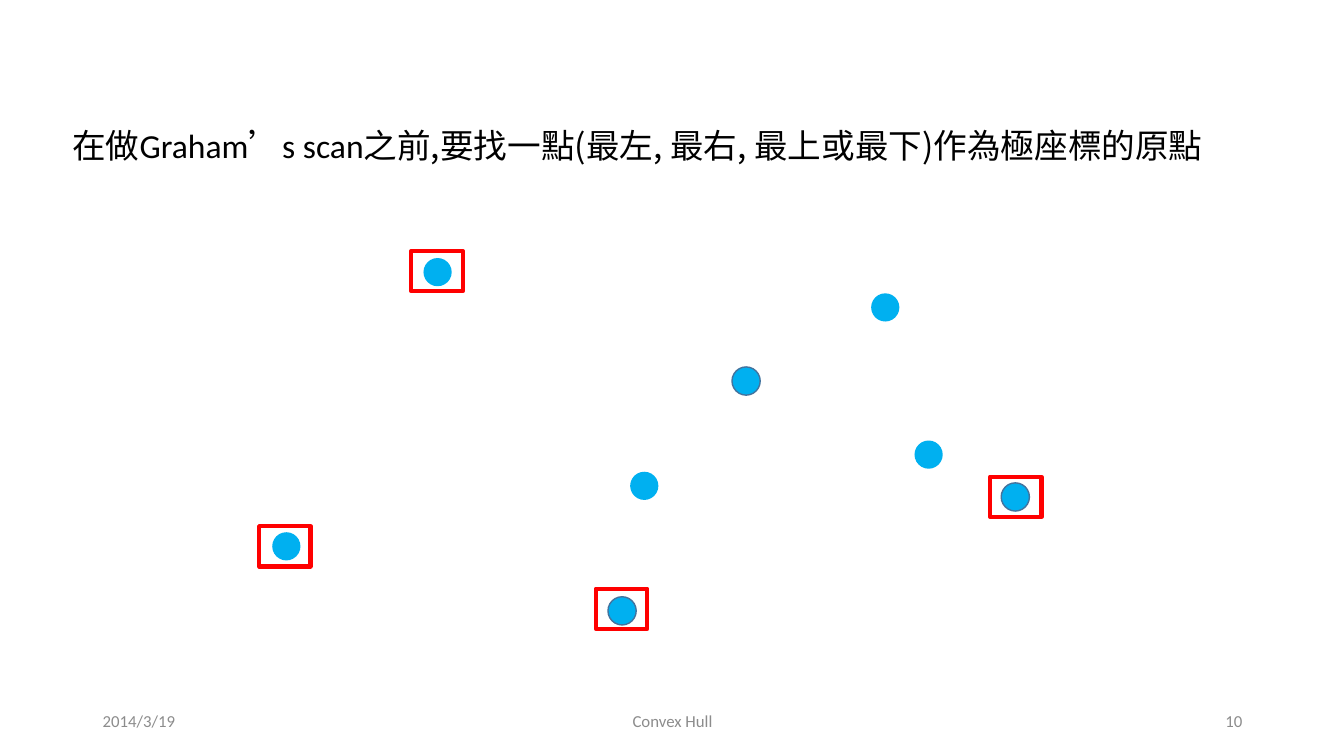
from typing import NamedTuple

from lxml import etree
from pptx import Presentation
from pptx.dml.color import RGBColor
from pptx.enum.shapes import MSO_SHAPE
from pptx.enum.text import MSO_ANCHOR, PP_ALIGN
from pptx.oxml.ns import qn
from pptx.util import Inches, Pt

OVAL, RECTANGLE = MSO_SHAPE.OVAL, MSO_SHAPE.RECTANGLE
TOP, MIDDLE = MSO_ANCHOR.TOP, MSO_ANCHOR.MIDDLE
LEFT, CENTER, RIGHT = PP_ALIGN.LEFT, PP_ALIGN.CENTER, PP_ALIGN.RIGHT

BLACK = RGBColor(0x00, 0x00, 0x00)
GREY = RGBColor(0x8C, 0x8C, 0x8C)
POINT_BLUE = RGBColor(0x00, 0xB0, 0xF0)
OUTLINE_BLUE = RGBColor(0x43, 0x73, 0x9E)
MARKER_RED = RGBColor(0xFF, 0x00, 0x00)

LATIN_FONT = "Calibri"
CHINESE_FONT = "Noto Sans CJK SC"
POINT_SIZE = 0.28
MARKER_WIDTH, MARKER_HEIGHT = 0.51, 0.4


class Point(NamedTuple):
    left: float
    top: float
    outlined: bool = False


class Marker(NamedTuple):
    left: float
    top: float


class TextRun(NamedTuple):
    text: str
    font: str = LATIN_FONT


class TextBox(NamedTuple):
    left: float
    top: float
    width: float
    height: float
    runs: list[TextRun]
    size: int = 12
    color: RGBColor = GREY
    alignment: PP_ALIGN = LEFT
    anchor: MSO_ANCHOR = MIDDLE


POINTS = [
    Point(7.26, 3.64, True),
    Point(6.03, 5.92, True),
    Point(9.93, 4.79, True),
    Point(9.07, 4.37),
    Point(8.64, 2.91),
    Point(6.25, 4.68),
    Point(4.2, 2.56),
    Point(2.7, 5.28),
]
EXTREME_MARKERS = [
    Marker(5.91, 5.84),
    Marker(9.82, 4.73),
    Marker(4.08, 2.49),
    Marker(2.57, 5.22),
]
TEXT_BOXES = [
    TextBox(0.92, 6.95, 3, 0.4, [TextRun("2014/3/19")]),
    TextBox(4.42, 6.95, 4.5, 0.4, [TextRun("Convex Hull")], alignment=CENTER),
    TextBox(9.42, 6.95, 3, 0.4, [TextRun("10")], alignment=RIGHT),
    TextBox(0.62, 1.19, 12.1, 0.5, [
        TextRun("在做", CHINESE_FONT),
        TextRun("Graham’s scan"),
        TextRun("之前,要找一點(最左, 最右, 最上或最下)作為極座標的原點", CHINESE_FONT),
    ], size=24, color=BLACK, anchor=TOP),
]


def add_text_box(slide, box: TextBox) -> None:
    shape = slide.shapes.add_textbox(
        Inches(box.left), Inches(box.top), Inches(box.width), Inches(box.height))
    frame = shape.text_frame
    frame.word_wrap = True
    frame.vertical_anchor = box.anchor
    paragraph = frame.paragraphs[0]
    paragraph.alignment = box.alignment
    for text_run in box.runs:
        run = paragraph.add_run()
        run.text = text_run.text
        run.font.size = Pt(box.size)
        run.font.color.rgb = box.color
        run.font.name = text_run.font
        properties = run.font._element
        properties.set("lang", "zh-TW")
        east_asian = etree.SubElement(properties, qn("a:ea"))
        east_asian.set("typeface", CHINESE_FONT)


def add_point(slide, point: Point) -> None:
    shape = slide.shapes.add_shape(
        OVAL, Inches(point.left), Inches(point.top), Inches(POINT_SIZE), Inches(POINT_SIZE))
    shape.shadow.inherit = False
    shape.fill.solid()
    shape.fill.fore_color.rgb = POINT_BLUE
    if point.outlined:
        shape.line.color.rgb = OUTLINE_BLUE
        shape.line.width = Pt(1)
    else:
        shape.line.fill.background()


def add_marker(slide, marker: Marker) -> None:
    """Frame an extreme point with a hollow red rectangle."""
    shape = slide.shapes.add_shape(
        RECTANGLE, Inches(marker.left), Inches(marker.top),
        Inches(MARKER_WIDTH), Inches(MARKER_HEIGHT))
    shape.shadow.inherit = False
    shape.fill.background()
    shape.line.color.rgb = MARKER_RED
    shape.line.width = Pt(3)


def main() -> None:
    presentation = Presentation()
    presentation.slide_width = Inches(13.33)
    presentation.slide_height = Inches(7.5)
    slide = presentation.slides.add_slide(presentation.slide_layouts[6])
    for box in TEXT_BOXES:
        add_text_box(slide, box)
    for point in POINTS:
        add_point(slide, point)
    for marker in EXTREME_MARKERS:
        add_marker(slide, marker)
    presentation.save("out.pptx")


if __name__ == "__main__":
    main()
